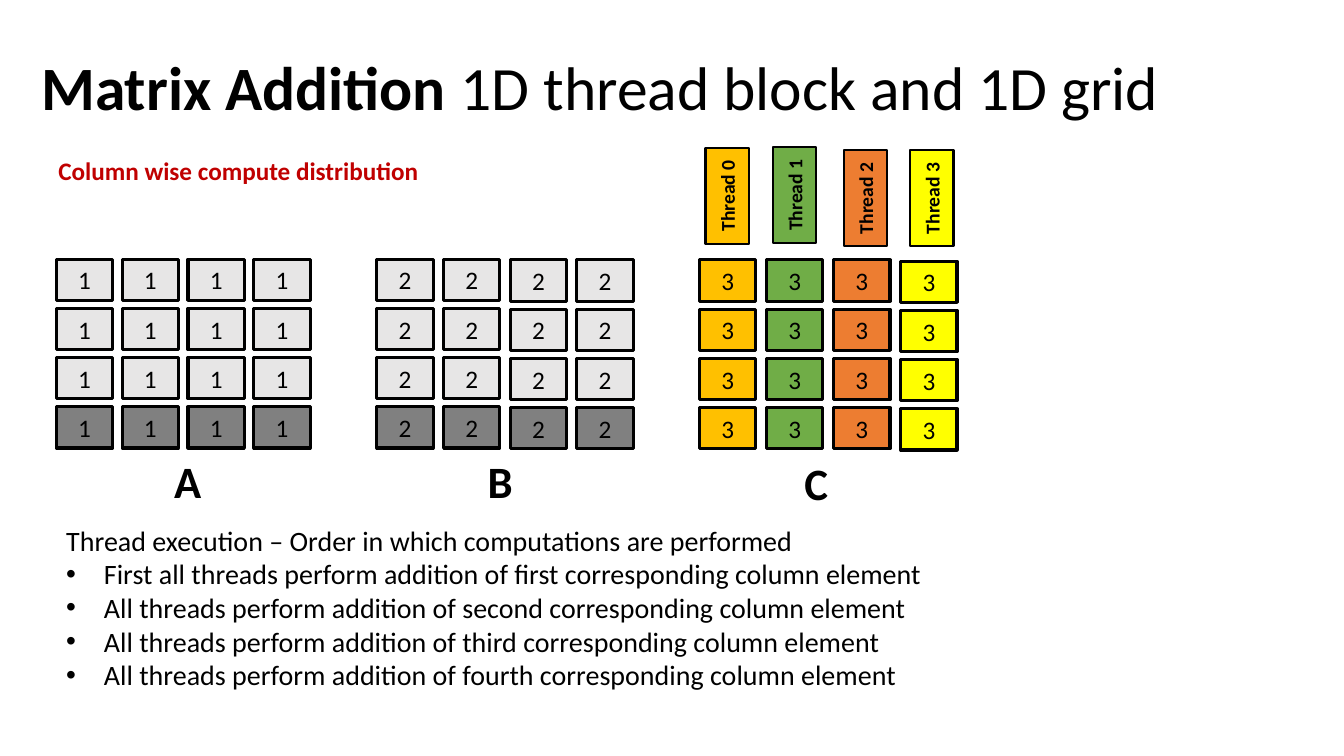
from lxml.etree import SubElement
from pptx import Presentation
from pptx.dml.color import RGBColor
from pptx.enum.shapes import MSO_SHAPE as Preset
from pptx.enum.text import MSO_ANCHOR as Anchor, PP_ALIGN as Align
from pptx.oxml.ns import qn
from pptx.util import Cm, Pt

FONT, BLACK, RED = "Calibri", "000000", "C00000"
LIGHT, DARK = "E7E6E6", "808080"
THREAD_COLOURS = ["FFC000", "70AD47", "ED7D31", "FFFF00"]
GREY_ROWS = [[LIGHT] * 4] * 3 + [[DARK] * 4]
THREAD_ROWS = [THREAD_COLOURS] * 4

TITLE = [("Matrix Addition ", True), ("1D thread block and 1D grid", False)]
HEADING = "Column wise compute distribution"
MATRICES = [
    {"value": "1", "left": 1.42, "pitch": 1.66, "tops": [6.53] * 4, "fills": GREY_ROWS},
    {"value": "2", "left": 9.5, "pitch": 1.68, "tops": [6.53, 6.53, 6.55, 6.55], "fills": GREY_ROWS},
    {"value": "3", "left": 17.63, "pitch": 1.69, "tops": [6.55, 6.55, 6.55, 6.58], "fills": THREAD_ROWS},
]
NAMES = [("A", 4.14, 11.3), ("B", 12.04, 11.3), ("C", 20.02, 11.35)]
THREADS = [("Thread 0", 17.12, 4.39), ("Thread 1", 18.82, 4.37),
           ("Thread 2", 20.6, 4.45), ("Thread 3", 22.28, 4.45)]
INTRO = "Thread execution – Order in which computations are performed"
STEPS = [
    "First all threads perform addition of first corresponding column element",
    "All threads perform addition of second corresponding column element",
    "All threads perform addition of third corresponding column element",
    "All threads perform addition of fourth corresponding column element",
]
CELL_WIDTH, CELL_HEIGHT, ROW_PITCH = 1.42, 1.04, 1.24


def colour(value):
    return RGBColor.from_string(value)


def style(para, size, bold=None, ink=BLACK):
    para.font.name = FONT
    para.font.size = Pt(size)
    para.font.bold = bold
    para.font.color.rgb = colour(ink)


def add_bullet(para):
    properties = para._p.get_or_add_pPr()
    properties.set("marL", str(Cm(0.95)))
    properties.set("indent", str(Cm(-0.95)))
    SubElement(properties, qn("a:buFont"), typeface="Arial")
    SubElement(properties, qn("a:buChar"), char="•")


def add_text(page, place, lines, size, bold=False, ink=BLACK):
    box = page.shapes.add_textbox(*map(Cm, place))
    frame = box.text_frame
    frame.word_wrap = True
    for index, line in enumerate(lines):
        para = frame.paragraphs[0] if index == 0 else frame.add_paragraph()
        para.text = line
        if index > 0:
            add_bullet(para)
        style(para, size, bold, ink)


def add_title(page):
    box = page.shapes.add_textbox(Cm(0.79), Cm(0.43), Cm(29.21), Cm(3.68))
    frame = box.text_frame
    frame.word_wrap = True
    frame.vertical_anchor = Anchor.MIDDLE
    para = frame.paragraphs[0]
    para.line_spacing = 0.9
    style(para, 44)
    for words, bold in TITLE:
        span = para.add_run()
        span.text = words
        span.font.bold = bold


def add_block(page, place, words, fill, line_width, size, bold=False):
    block = page.shapes.add_shape(Preset.RECTANGLE, *map(Cm, place))
    block.shadow.inherit = False
    block.fill.solid()
    block.fill.fore_color.rgb = colour(fill)
    block.line.color.rgb = colour(BLACK)
    block.line.width = Pt(line_width)
    frame = block.text_frame
    frame.vertical_anchor = Anchor.MIDDLE
    para = frame.paragraphs[0]
    para.text = words
    para.alignment = Align.CENTER
    style(para, size, bold)
    return block


def add_matrix(page, matrix):
    for row, fills in enumerate(matrix["fills"]):
        for column, fill in enumerate(fills):
            left = matrix["left"] + column * matrix["pitch"]
            top = matrix["tops"][column] + row * ROW_PITCH
            add_block(page, (left, top, CELL_WIDTH, CELL_HEIGHT), matrix["value"], fill, 2.25, 18)


def main():
    deck = Presentation()
    deck.slide_width, deck.slide_height = Cm(33.87), Cm(19.05)
    page = deck.slides.add_slide(deck.slide_layouts[6])
    add_title(page)
    add_text(page, (1.22, 3.78, 9.65, 1.02), [HEADING], 18, True, RED)
    for matrix in MATRICES:
        add_matrix(page, matrix)
    for name, left, top in NAMES:
        add_text(page, (left, top, 1.17, 1.63), [name], 32, True)
    for (name, left, top), fill in zip(THREADS, THREAD_COLOURS):
        label = add_block(page, (left, top, 2.41, 1.09), name, fill, 1.5, 14, True)
        label.rotation = 270
    add_text(page, (1.42, 13.06, 23.24, 4.52), [INTRO] + STEPS, 20)
    deck.save("out.pptx")


if __name__ == "__main__":
    main()
